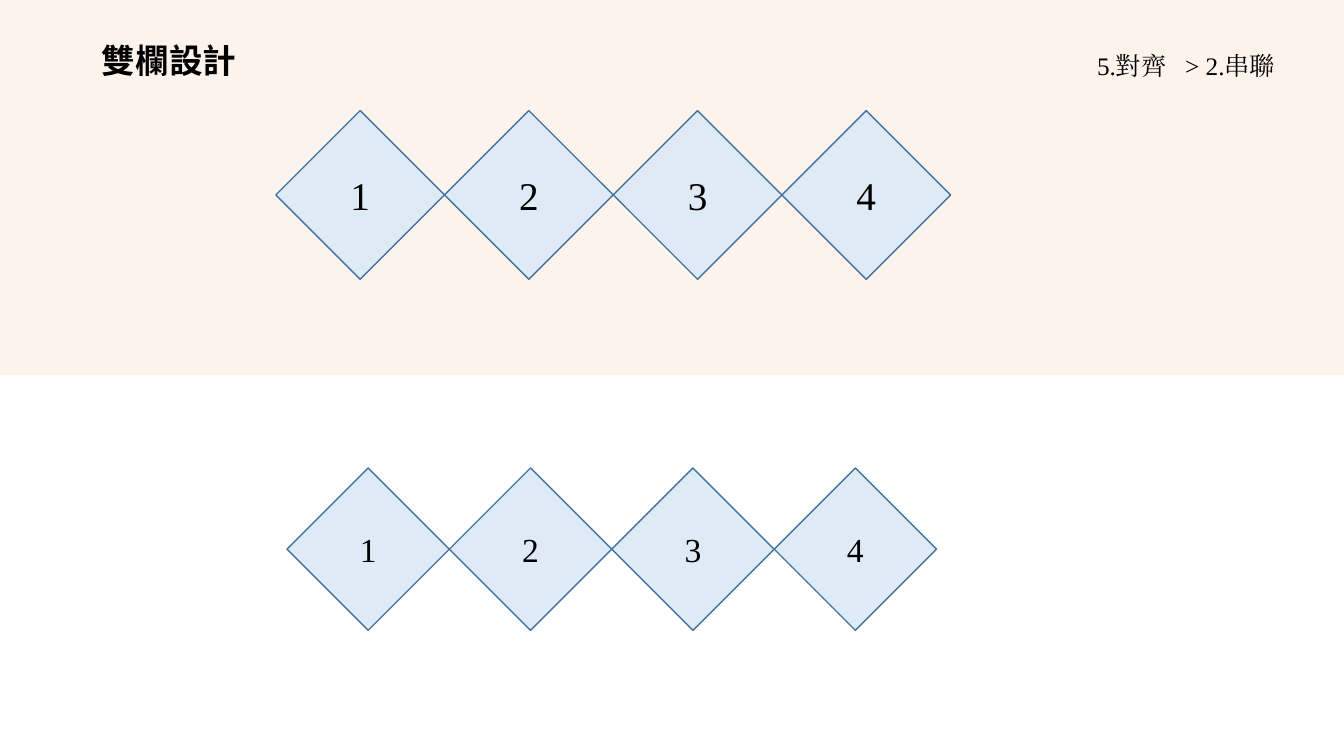
import lxml.etree
import pptx
import pptx.dml.color
import pptx.enum.shapes
import pptx.enum.text
import pptx.oxml.ns
import pptx.util

Pt = pptx.util.Pt
RGBColor = pptx.dml.color.RGBColor
Shape = pptx.enum.shapes.MSO_SHAPE
Align = pptx.enum.text.PP_ALIGN
Anchor = pptx.enum.text.MSO_ANCHOR
AutoSize = pptx.enum.text.MSO_AUTO_SIZE
qn = pptx.oxml.ns.qn

BLACK = RGBColor(0x00, 0x00, 0x00)
PEACH = RGBColor(0xF4, 0xB1, 0x83)
PALE_BLUE = RGBColor(0xDE, 0xEB, 0xF7)
STEEL_BLUE = RGBColor(0x43, 0x73, 0x9E)
SERIF = "Times New Roman"
SANS = "Noto Sans CJK SC"


def apply_format(target, values):
    for name, value in values.items():
        setattr(target, name, value)


def add_run(paragraph, text, values):
    run = paragraph.add_run()
    run.text = text
    apply_format(run.font, values)
    run.font.color.rgb = BLACK
    properties = run._r.get_or_add_rPr()
    east_asian = lxml.etree.SubElement(properties, qn("a:ea"))
    east_asian.set("typeface", values["name"])
    return properties


def add_plain_shape(slide, kind, box):
    shape = slide.shapes.add_shape(kind, *map(Pt, box))
    shape.shadow.inherit = False
    shape.fill.background()
    shape.line.fill.background()
    apply_format(shape.text_frame, {"word_wrap": True, "vertical_anchor": Anchor.MIDDLE})
    return shape


def add_band(slide, box):
    band = add_plain_shape(slide, Shape.RECTANGLE, box)
    band.fill.solid()
    band.fill.fore_color.rgb = PEACH
    color = band._element.spPr.find(qn("a:solidFill")).find(qn("a:srgbClr"))
    lxml.etree.SubElement(color, qn("a:alpha")).set("val", "14000")


def add_title(slide, box):
    title = slide.shapes.add_textbox(*map(Pt, box))
    apply_format(title.text_frame, {"word_wrap": True, "vertical_anchor": Anchor.MIDDLE})
    paragraph = title.text_frame.paragraphs[0]
    paragraph.line_spacing = 0.9
    add_run(paragraph, "雙欄設計", {"name": SANS, "size": Pt(24), "bold": True})


def add_breadcrumb(slide, box):
    breadcrumb = add_plain_shape(slide, Shape.ROUNDED_RECTANGLE, box)
    breadcrumb.text_frame.auto_size = AutoSize.SHAPE_TO_FIT_TEXT
    paragraph = breadcrumb.text_frame.paragraphs[0]
    paragraph.alignment = Align.RIGHT
    values = {"name": SERIF, "size": Pt(18)}
    add_run(paragraph, "5.對齊", values)
    add_run(paragraph, " ", values).set("spc", "900")
    add_run(paragraph, "> 2.串聯", values)


def add_diamond_chain(slide, box, font_size):
    left, top, width, side = box
    count = round(width / side)
    for index in range(count):
        diamond = add_plain_shape(slide, Shape.DIAMOND, (left + index * side, top, side, side))
        diamond.fill.solid()
        diamond.fill.fore_color.rgb = PALE_BLUE
        diamond.line.color.rgb = STEEL_BLUE
        diamond.line.width = Pt(1)
        paragraph = diamond.text_frame.paragraphs[0]
        paragraph.alignment = Align.CENTER
        add_run(paragraph, str(index + 1), {"name": SERIF, "size": Pt(font_size)})


def main():
    presentation = pptx.Presentation()
    apply_format(presentation, {"slide_width": Pt(960), "slide_height": Pt(540)})
    slide = presentation.slides.add_slide(presentation.slide_layouts[6])
    add_band(slide, (0, 0, 960, 267.9))
    add_title(slide, (65.7, 28.6, 828, 32))
    add_diamond_chain(slide, (197, 79, 482, 120.5), 28)
    add_breadcrumb(slide, (774, 30.2, 145.4, 32.4))
    add_diamond_chain(slide, (205, 334.3, 464, 116), 24)
    presentation.save("out.pptx")


if __name__ == "__main__":
    main()
